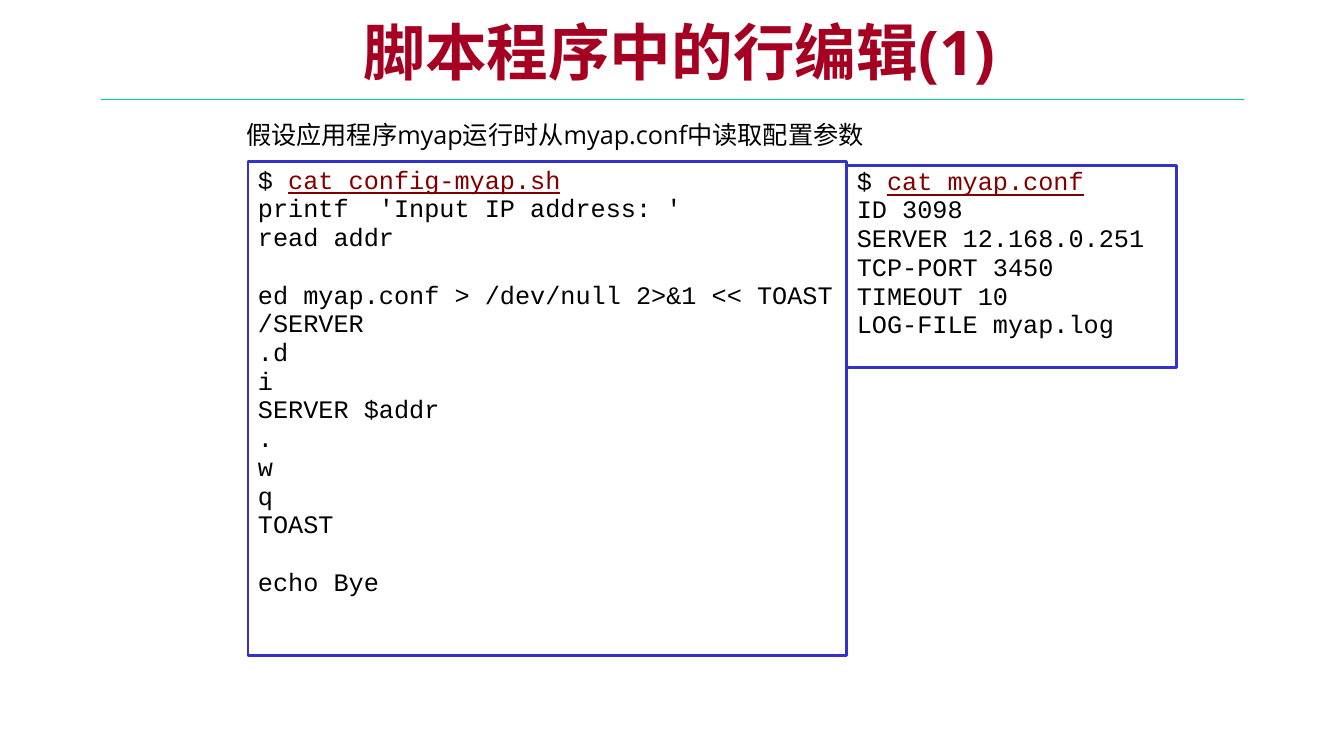
import pptx
import pptx.util
import pptx.dml.color
import pptx.enum.shapes
import pptx.enum.text
import pptx.oxml
import pptx.oxml.ns

Inches, Pt = pptx.util.Inches, pptx.util.Pt
Anchor = pptx.enum.text.MSO_ANCHOR
Align = pptx.enum.text.PP_ALIGN
Shape = pptx.enum.shapes.MSO_SHAPE

color = {"title": "A50021", "rule": "00CC99", "frame": "3333CC",
         "text": "000000", "input": "800000"}
CJK, SANS, MONO = "Noto Sans CJK SC", "Open Sans", "Courier New"


def tint(name):
    return pptx.dml.color.RGBColor.from_string(color[name])


def add_run(para, text, face, size=18, name="text"):
    run = para.add_run()
    run.text = text
    font = run.font
    font.name, font.size = face, Pt(size)
    font.color.rgb = tint(name)
    east = pptx.oxml.parse_xml(
        f'<a:ea {pptx.oxml.ns.nsdecls("a")} typeface="{CJK}"/>')
    run._r.get_or_add_rPr().append(east)
    return font


deck = pptx.Presentation()
deck.slide_width, deck.slide_height = Inches(13.33), Inches(7.5)
slide = deck.slides.add_slide(deck.slide_layouts[6])
shapes = slide.shapes

rule = shapes.add_connector(pptx.enum.shapes.MSO_CONNECTOR.STRAIGHT,
                            Inches(1), Inches(0.99), Inches(12.34), Inches(0.99))
rule.line.color.rgb = tint("rule")
rule.line.width = Pt(0.75)
rule._element.spPr.append(
    pptx.oxml.parse_xml(f'<a:effectLst {pptx.oxml.ns.nsdecls("a")}/>'))

title = shapes.add_textbox(Inches(2.49), Inches(0.13), Inches(8.5), Inches(0.87))
frame = title.text_frame
frame.word_wrap = True
frame.vertical_anchor = Anchor.MIDDLE
para = frame.paragraphs[0]
para.alignment = Align.CENTER
para.line_spacing = 0.85
add_run(para, "脚本程序中的行编辑(1)", SANS, 44, "title").bold = True

intro = shapes.add_textbox(Inches(2.37), Inches(1.19), Inches(7.75), Inches(0.41))
frame = intro.text_frame
frame.word_wrap = True
frame.margin_left = frame.margin_right = Inches(0.07)
frame.margin_top = frame.margin_bottom = Inches(0.04)
para = frame.paragraphs[0]
para.line_spacing = 0.85
for text, face in [("假设应用程序", CJK), ("myap运行时从myap.conf中读取", SANS),
                   ("配置参数", CJK)]:
    add_run(para, text, face)

panels = [
    ((8.4, 1.64, 3.27, 2.01), 0.85, "cat myap.conf", [
        "ID 3098", "SERVER 12.168.0.251", "TCP-PORT 3450",
        "TIMEOUT 10", "LOG-FILE myap.log"]),
    ((2.46, 1.6, 5.94, 4.9), 0.95, "cat config-myap.sh", [
        "printf  'Input IP address: '", "read addr", "",
        "ed myap.conf > /dev/null 2>&1 << TOAST", "/SERVER", ".d", "i",
        "SERVER $addr", ".", "w", "q", "TOAST", "", "echo Bye"]),
]
for place, lead, command, lines in panels:
    panel = shapes.add_shape(Shape.RECTANGLE, *map(Inches, place))
    panel.shadow.inherit = False
    panel.fill.background()
    panel.line.color.rgb = tint("frame")
    panel.line.width = Pt(2)
    frame = panel.text_frame
    frame.word_wrap = True
    frame.vertical_anchor = Anchor.TOP
    para = frame.paragraphs[0]
    para.alignment = Align.LEFT
    para.line_spacing = lead
    add_run(para, "$ ", MONO)
    add_run(para, command, MONO, name="input").underline = True
    gap = 0
    for line in lines:
        if not line:
            gap = 20.5
            continue
        para = frame.add_paragraph()
        para.alignment = Align.LEFT
        para.line_spacing = 0.95
        para.space_before = Pt(gap)
        add_run(para, line, MONO)
        gap = 0

deck.save("out.pptx")
